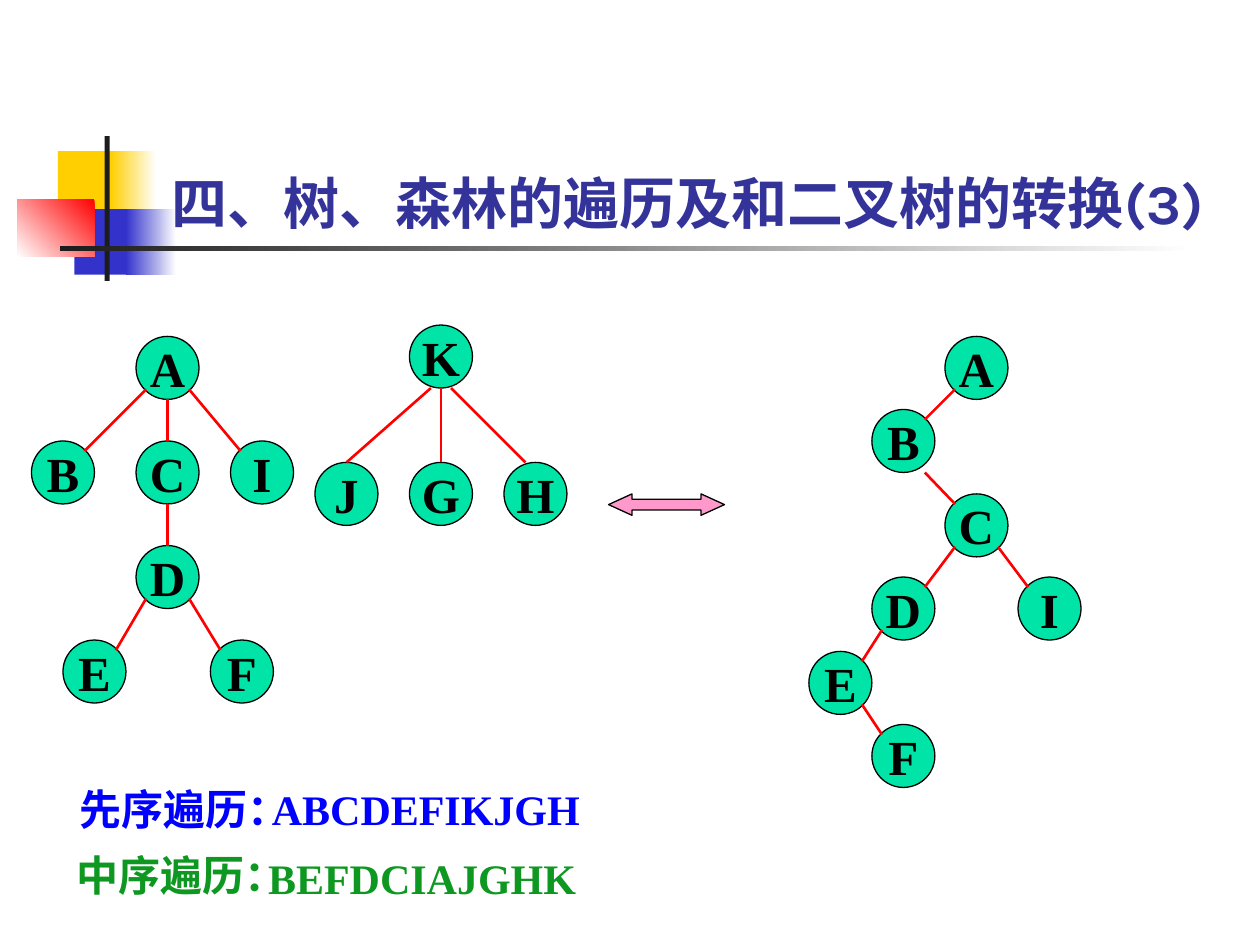
from dataclasses import dataclass

import pptx
import pptx.dml.color
import pptx.enum.shapes
import pptx.enum.text
import pptx.oxml
import pptx.util
from pptx.util import Inches


@dataclass(frozen=True)
class Theme:
    title: str = "333399"
    yellow: str = "FFCF01"
    blue: str = "3333CC"
    red: str = "FF0000"
    white: str = "FFFFFF"
    dark: str = "1C1C1C"
    black: str = "000000"
    node: str = "00E4A8"
    arrow: str = "FF99CC"
    preorder: str = "0000FF"
    inorder: str = "0E9822"
    title_font: str = "Karla"
    body_font: str = "Times New Roman"
    title_size: int = 32
    node_size: int = 28
    body_size: int = 24


theme = Theme()
rgb = pptx.dml.color.RGBColor.from_string
SHAPE = pptx.enum.shapes.MSO_SHAPE
ANCHOR = pptx.enum.text.MSO_ANCHOR
ALIGN = pptx.enum.text.PP_ALIGN


def write_text(shape, text, *, size, color, font=theme.body_font,
               align=ALIGN.LEFT, anchor=ANCHOR.MIDDLE):
    frame = shape.text_frame
    frame.word_wrap = False
    frame.vertical_anchor = anchor
    paragraph = frame.paragraphs[0]
    paragraph.alignment = align
    run = paragraph.add_run()
    run.text = text
    run.font.name = font
    run.font.size = pptx.util.Pt(size)
    run.font.bold = True
    run.font.color.rgb = rgb(color)


def add_filled(shapes, kind, box, colors, angle=0, outlined=False):
    """Add a preset shape; two colours make a linear gradient."""
    shape = shapes.add_shape(kind, *map(Inches, box))
    shape.shadow.inherit = False
    if len(colors) == 2:
        shape.fill.gradient()
        shape.fill.gradient_angle = angle
        for stop, color in zip(shape.fill.gradient_stops, colors):
            stop.color.rgb = rgb(color)
    else:
        shape.fill.solid()
        shape.fill.fore_color.rgb = rgb(colors[0])
    if outlined:
        shape.line.color.rgb = rgb(theme.black)
        shape.line.width = pptx.util.Pt(0.75)
    else:
        shape.line.fill.background()
    return shape


presentation = pptx.Presentation()
presentation.slide_width = Inches(10)
presentation.slide_height = Inches(7.5)
slide = presentation.slides.add_slide(presentation.slide_layouts[6])

# Title decoration
decoration = [
    ((0.46, 1.2, 0.48, 0.52), [theme.yellow], 0),
    ((0.88, 1.2, 0.36, 0.52), [theme.white, theme.yellow], 180),
    ((0.59, 1.66, 0.46, 0.52), [theme.blue], 0),
    ((1, 1.66, 0.4, 0.52), [theme.white, theme.blue], 180),
    ((0.14, 1.58, 0.61, 0.46), [theme.red, theme.white], 225),
    ((0.83, 1.08, 0.04, 1.15), [theme.dark], 0),
    ((0.48, 1.95, 9, 0.04), [theme.white, theme.dark], 180),
]
for box, colors, angle in decoration:
    add_filled(slide.shapes, SHAPE.RECTANGLE, box, colors, angle)

# Title
title = slide.shapes.add_textbox(*map(Inches, (1.26, 0.67, 8.52, 1.25)))
write_text(title, "四、树、森林的遍历及和二叉树的转换(3)", size=theme.title_size,
           color=theme.title, font=theme.title_font, anchor=ANCHOR.BOTTOM)

# Conversion arrow
arrow = add_filled(slide.shapes, SHAPE.LEFT_RIGHT_ARROW, (4.83, 3.92, 0.92, 0.17),
                   [theme.arrow], outlined=True)
arrow.adjustments[0] = 0.5
arrow.adjustments[1] = 1.093

# Trees: node positions, and edges as parent, child, leaving point, arriving point
NODE = 0.5
NEAR, MIDDLE, FAR = 0.08, 0.25, 0.42
LEFTWARD = ((NEAR, FAR), (FAR, NEAR))
RIGHTWARD = ((FAR, FAR), (NEAR, NEAR))
DOWNWARD = ((MIDDLE, NODE), (MIDDLE, 0))
forest = (
    {"A": (1.08, 2.67), "B": (0.25, 3.5), "C": (1.08, 3.5), "I": (1.83, 3.5),
     "D": (1.08, 4.33), "E": (0.5, 5.08), "F": (1.67, 5.08),
     "K": (3.25, 2.58), "J": (2.5, 3.67), "G": (3.25, 3.67), "H": (4, 3.67)},
    [("A", "B", *LEFTWARD), ("A", "C", *DOWNWARD), ("A", "I", *RIGHTWARD),
     ("C", "D", *DOWNWARD), ("D", "E", *LEFTWARD), ("D", "F", *RIGHTWARD),
     ("K", "J", (0.17, NODE), (MIDDLE, 0)), ("K", "G", *DOWNWARD),
     ("K", "H", (0.33, NODE), (0.17, 0))],
)
binary_tree = (
    {"A": (7.5, 2.67), "B": (6.92, 3.25), "C": (7.5, 3.92), "D": (6.92, 4.58),
     "I": (8.08, 4.58), "E": (6.42, 5.17), "F": (6.92, 5.75)},
    [("A", "B", *LEFTWARD), ("B", "C", (FAR, NODE), (NEAR, NEAR)),
     ("C", "D", *LEFTWARD), ("C", "I", *RIGHTWARD),
     ("D", "E", *LEFTWARD), ("E", "F", *RIGHTWARD)],
)
for nodes, edges in (forest, binary_tree):
    group = slide.shapes.add_group_shape()
    for label, (left, top) in nodes.items():
        node = add_filled(group.shapes, SHAPE.OVAL, (left, top, NODE, NODE),
                          [theme.node], outlined=True)
        write_text(node, label, size=theme.node_size, color=theme.black,
                   align=ALIGN.CENTER)
    for parent, child, leaving, arriving in edges:
        points = [Inches(corner + offset)
                  for name, offsets in ((parent, leaving), (child, arriving))
                  for corner, offset in zip(nodes[name], offsets)]
        edge = group.shapes.add_connector(
            pptx.enum.shapes.MSO_CONNECTOR.STRAIGHT, *points)
        edge.line.color.rgb = rgb(theme.red)
        edge.line.width = pptx.util.Pt(1.5)
        properties = edge._element.spPr
        properties.append(pptx.oxml.parse_xml(
            '<a:effectLst xmlns:a="http://schemas.openxmlformats.org/drawingml/2006/main"/>'))

# Traversal orders
traversals = [
    ("先序遍历：", (0.53, 6.17, 1.86, 0.5), theme.preorder, ANCHOR.MIDDLE),
    ("中序遍历：", (0.51, 6.69, 1.86, 0.5), theme.inorder, ANCHOR.MIDDLE),
    ("ABCDEFIKJGH", (2.06, 6.17, 2.7, 0.5), theme.preorder, ANCHOR.TOP),
    ("BEFDCIAJGHK", (2.03, 6.72, 2.7, 0.5), theme.inorder, ANCHOR.TOP),
]
for text, box, color, anchor in traversals:
    textbox = slide.shapes.add_textbox(*map(Inches, box))
    write_text(textbox, text, size=theme.body_size, color=color, anchor=anchor)

presentation.save("out.pptx")
